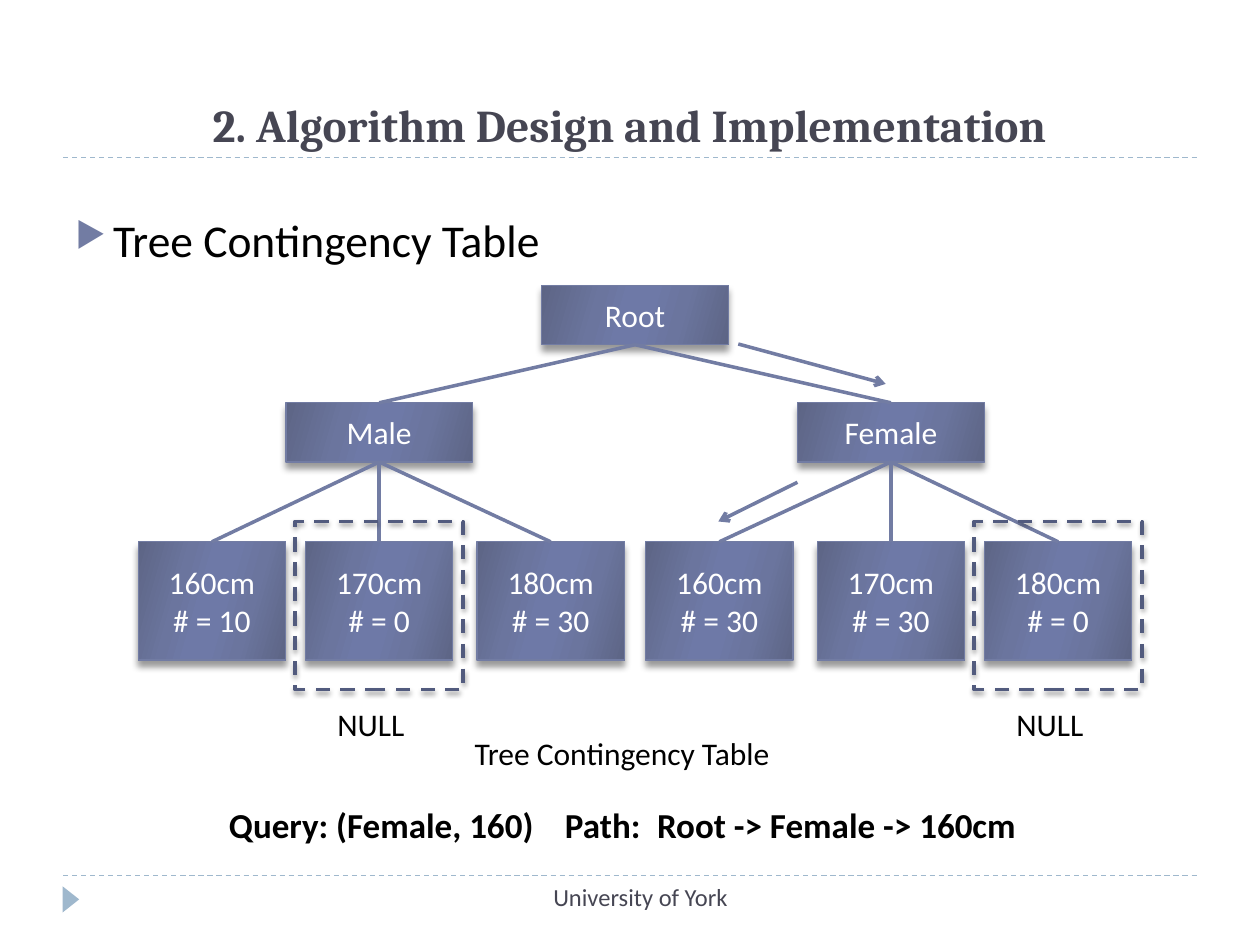
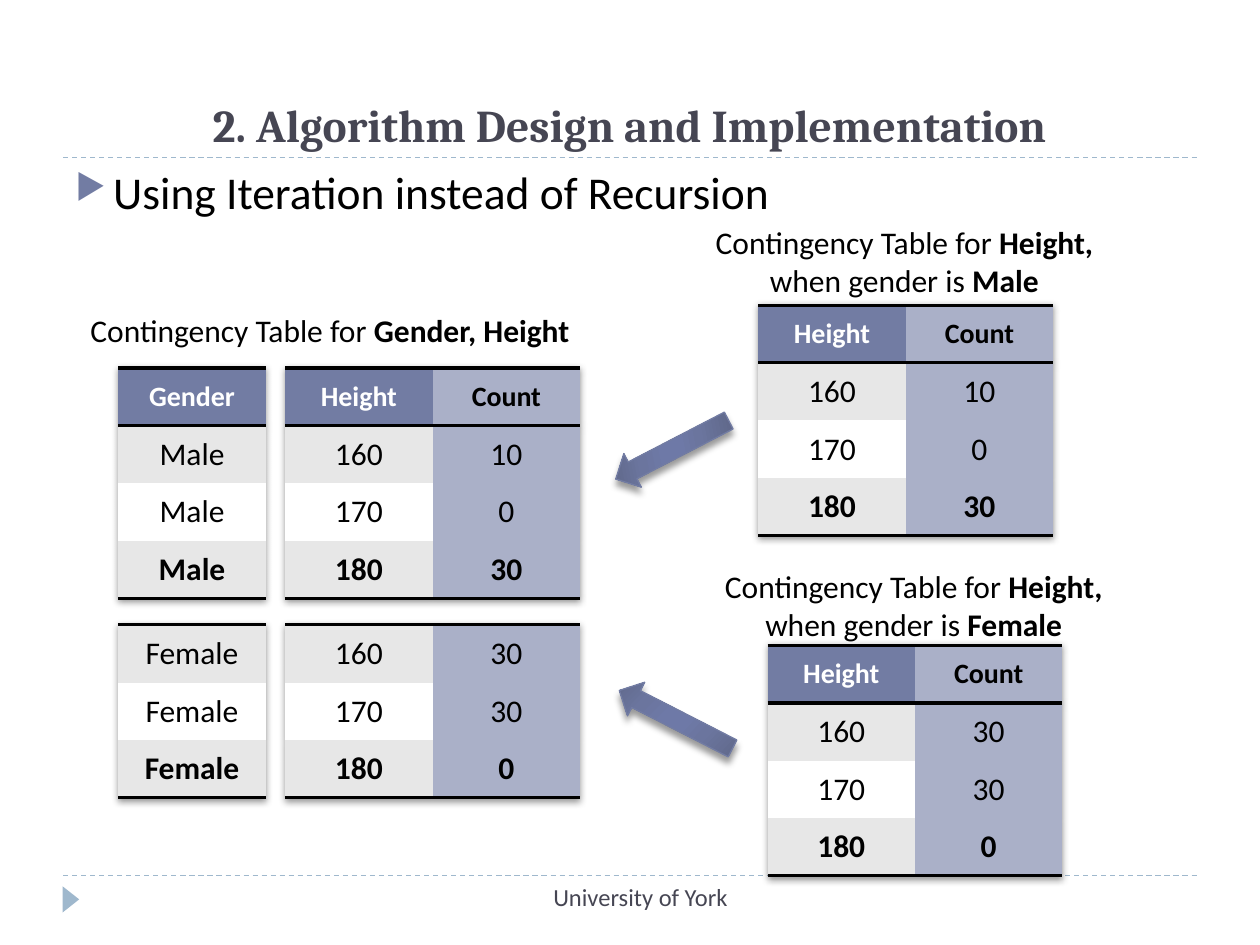
from dataclasses import dataclass

from lxml import etree
from pptx import Presentation
from pptx.dml.color import RGBColor
from pptx.enum.dml import MSO_LINE
from pptx.enum.shapes import MSO_CONNECTOR, MSO_SHAPE
from pptx.enum.text import MSO_ANCHOR, MSO_AUTO_SIZE, PP_ALIGN
from pptx.oxml import parse_xml
from pptx.util import Pt

LEFT, CENTER = PP_ALIGN.LEFT, PP_ALIGN.CENTER
TOP, MIDDLE, BOTTOM = MSO_ANCHOR.TOP, MSO_ANCHOR.MIDDLE, MSO_ANCHOR.BOTTOM
RECT, TRIANGLE = MSO_SHAPE.RECTANGLE, MSO_SHAPE.ISOSCELES_TRIANGLE
ARROW = MSO_SHAPE.RIGHT_ARROW
STRAIGHT, DASH = MSO_CONNECTOR.STRAIGHT, MSO_LINE.DASH
NO_FIT = MSO_AUTO_SIZE.NONE
A = "http://schemas.openxmlformats.org/drawingml/2006/main"
NO_STYLE = "{2D5ABB26-0587-4C30-8999-92F81FD0307C}"


@dataclass(frozen=True)
class Theme:
    head: str = "Cambria"
    body: str = "Calibri"
    ink: str = "000000"
    white: str = "FFFFFF"
    slate: str = "464653"
    main: str = "727CA3"
    dark: str = "525B7E"
    pale: str = "AAB0C8"
    band: str = "E7E7E7"
    rule: str = "9FB8CD"
    glow: tuple = ((0, "5D6585"), (30, "6B759E"), (45, "6E79A7"),
                   (55, "6E79A7"), (73, "6B759E"), (100, "5D6585"))
    big: int = 26
    query: int = 20
    text: int = 18
    small: int = 16
    foot: int = 14


T = Theme()


# ---- Shared helpers ----
def rgb(code):
    return RGBColor.from_string(code)


def xml(tag, inner="", **attrs):
    pairs = "".join(f' {key}="{val}"' for key, val in attrs.items())
    return parse_xml(f'<a:{tag} xmlns:a="{A}"{pairs}>{inner}</a:{tag}>')


def shade(blur, dist):
    return xml("outerShdw", '<a:srgbClr val="000000"><a:alpha val="40000"/></a:srgbClr>',
               blurRad=Pt(blur), dist=Pt(dist), dir=5400000, rotWithShape=0)


def style(para, size, color, bold=None, face=T.body, align=LEFT):
    para.alignment = align
    font = para.font
    font.name, font.size, font.bold = face, Pt(size), bold
    font.color.rgb = rgb(color)


def write(frame, lines, size=T.text, color=T.ink, anchor=TOP, **look):
    """Each line is a string or a list of (text, bold) runs."""
    frame.word_wrap, frame.auto_size = True, NO_FIT
    frame.vertical_anchor = anchor
    for i, line in enumerate(lines):
        para = frame.add_paragraph() if i else frame.paragraphs[0]
        for text, bold in [(line, None)] if isinstance(line, str) else line:
            run = para.add_run()
            run.text = text
            if bold is not None:
                run.font.bold = bold
        style(para, size, color, **look)


def label(slide, box, lines, **look):
    frame = slide.shapes.add_textbox(*map(Pt, box)).text_frame
    write(frame, lines, **look)
    return frame.paragraphs[0]


def rule(slide, start, end, color, width, dash=False, tip=False):
    line = slide.shapes.add_connector(STRAIGHT, *map(Pt, (*start, *end)))
    line.line.color.rgb, line.line.width = rgb(color), Pt(width)
    if dash:
        line.line.dash_style = DASH
    if tip:
        line.line._get_or_add_ln().append(xml("tailEnd", type="arrow"))
    etree.SubElement(line._element.spPr, f"{{{A}}}effectLst")
    return line


def solid(slide, kind, box, turn=0):
    """A shape with the glossy gradient and a soft shadow."""
    shape = slide.shapes.add_shape(kind, *map(Pt, box))
    shape.rotation = turn
    stops = "".join(f'<a:gs pos="{pos * 1000}"><a:srgbClr val="{code}"/></a:gs>'
                    for pos, code in T.glow)
    fill = xml("gradFill", f'<a:gsLst>{stops}</a:gsLst><a:lin ang="960000" scaled="0"/>',
               rotWithShape=1)
    shape._element.spPr.find(f"{{{A}}}prstGeom").addnext(fill)
    shape.line.color.rgb, shape.line.width = rgb(T.main), Pt(0.75)
    shape.shadow.inherit = False
    shape._element.spPr.find(f"{{{A}}}effectLst").append(shade(4, 3.4))
    return shape


# ---- Frame of every slide: rules, marker, title, bullet, footer ----
def page(prs, topic, top):
    slide = prs.slides.add_slide(prs.slide_layouts[5])
    for y in (500.4, 90):
        rule(slide, (36, y), (684, y), T.rule, 0.75, dash=True)
    mark = slide.shapes.add_shape(TRIANGLE, *map(Pt, (33, 509.2, 15, 9.5)))
    mark.rotation = 90
    mark.fill.solid()
    mark.fill.fore_color.rgb = rgb(T.rule)
    mark.line.fill.background()
    mark.shadow.inherit = False

    title = slide.shapes.title
    title.left, title.top, title.width, title.height = map(Pt, (36, 12, 648, 78))
    write(title.text_frame, ["2. Algorithm Design and Implementation"], T.big, T.slate,
          BOTTOM, bold=True, face=T.head, align=CENTER)

    frame = slide.shapes.add_textbox(*map(Pt, (36, top, 648, 389))).text_frame
    props = frame.paragraphs[0]._p.get_or_add_pPr()
    props.set("marL", str(Pt(21.6)))
    props.set("indent", str(Pt(-21.6)))
    props.append(xml("buClr", f'<a:srgbClr val="{T.main}"/>'))
    props.append(xml("buSzPct", val=76000))
    props.append(xml("buChar", char="▶"))
    write(frame, [topic], T.big)

    label(slide, (228, 500.4, 276, 28.8), ["University of York"],
          size=T.foot, color=T.slate, align=CENTER)
    return slide


# ---- Slide 1: the tree ----
def node(slide, mid, top, size, lines):
    wide, high = size
    shape = solid(slide, RECT, (mid - wide / 2, top, wide, high))
    write(shape.text_frame, lines, color=T.white, anchor=MIDDLE, align=CENTER)
    return shape


def join(slide, upper, lower):
    edge = rule(slide, (0, 0), (1, 1), T.main, 2)
    edge.begin_connect(upper, 2)
    edge.end_connect(lower, 0)


def null(slide, mid, top):
    """Dashed frame and caption around an empty leaf."""
    side = 96
    frame = slide.shapes.add_shape(RECT, *map(Pt, (mid - side / 2, top, side, side)))
    frame.fill.background()
    frame.line.color.rgb, frame.line.width = rgb(T.dark), Pt(2)
    frame.line.dash_style = DASH
    frame.shadow.inherit = False
    frame._element.spPr.find(f"{{{A}}}effectLst").append(shade(3, 2))
    label(slide, (mid - 31, top + 101.6, 62, 28.8), ["NULL"])


def tree(slide, mid, top):
    branch, leaf = (106.6, 33.8), (84.2, 67.6)
    spread, outer, inner = 146.2, 95.6, 98
    low = top + 146.4
    root = node(slide, mid, top, branch, ["Root"])
    sides = (("Male", -spread, (-outer, 0, inner), (10, 0, 30)),
             ("Female", spread, (-inner, 0, outer), (30, 30, 0)))
    empty = []
    for name, shift, steps, counts in sides:
        sex = node(slide, mid + shift, top + 67, branch, [name])
        join(slide, root, sex)
        for step, tall, count in zip(steps, (160, 170, 180), counts):
            x = mid + shift + step
            join(slide, sex, node(slide, x, low, leaf, [f"{tall}cm", f"# = {count}"]))
            if count == 0:
                empty.append(x)
    for x in empty:
        null(slide, x, low - 11.6)
    # Query path
    for start, end in (((59, 33.4), (143.2, 56.2)), ((92.8, 112.4), (47.6, 134.8))):
        rule(slide, (mid + start[0], top + start[1]), (mid + end[0], top + end[1]),
             T.main, 2, tip=True)
    label(slide, (mid - 98.8, top + 252.8, 196.6, 28.8), ["Tree Contingency Table"])


def query(slide, box):
    para = label(slide, box, ["Query: (Female, 160)\tPath:\tRoot -> Female -> 160cm"],
                 size=T.query, bold=True)
    tabs = "".join(f'<a:tab pos="{Pt(at)}" algn="l"/>' for at in (192, 244.6))
    props = para._p.get_or_add_pPr()
    props.insert(0, xml("tabLst", tabs))


# ---- Slide 2: the tables ----
def edge(cell, *sides):
    props = cell._tc.get_or_add_tcPr()
    for side in sides:
        props.append(xml(side, f'<a:solidFill><a:srgbClr val="{T.ink}"/></a:solidFill>',
                         w=Pt(2)))


def grid(slide, x, y, rows, head=None):
    """Banded table; the last row is bold and a Count column is tinted."""
    wide, high = 84.25, 32.95
    data = ([head] if head else []) + rows
    many, cols = len(data), len(data[0])
    table = slide.shapes.add_table(
        many, cols, *map(Pt, (x, y, wide * cols, high * many))).table
    table.first_row = table.horz_banding = False
    props = table._tbl.tblPr
    props.find(f"{{{A}}}tableStyleId").text = NO_STYLE
    glow = xml("effectLst")
    glow.append(shade(4, 1))
    props.insert(0, glow)
    for col in table.columns:
        col.width = Pt(wide)
    for r, row in enumerate(data):
        table.rows[r].height = Pt(high)
        top = bool(head) and r == 0
        odd = (r - bool(head)) % 2
        for c, value in enumerate(row):
            cell = table.cell(r, c)
            if r == 0:
                edge(cell, "lnT")
            if top or r == many - 1:
                edge(cell, "lnB")
            back = T.pale if c else T.main if top else T.white if odd else T.band
            cell.fill.solid()
            cell.fill.fore_color.rgb = rgb(back)
            cell.vertical_anchor = MIDDLE
            para = cell.text_frame.paragraphs[0]
            para.add_run().text = str(value)
            style(para, T.small if top else T.text, T.white if top and not c else T.ink,
                  bold=top or r == many - 1, align=CENTER)


HEAD = ["Height", "Count"]
COUNTS = {"Male": [(160, 10), (170, 0), (180, 30)],
          "Female": [(160, 30), (170, 30), (180, 0)]}


def joint(slide, x, y):
    """Both genders, with the Gender column set apart."""
    label(slide, (x - 23, y - 36, 320.4, 28.8),
          [[("Contingency Table for ", False), ("Gender, Height", True)]])
    for i, (sex, rows) in enumerate(COUNTS.items()):
        top = y + i * 146.8
        grid(slide, x, top, [[sex]] * 3, None if i else ["Gender"])
        grid(slide, x + 95.4, top, rows, None if i else HEAD)


def part(slide, sex, x, y, lift):
    """Heights of one gender under a two-line caption."""
    first = label(slide, (x - 39.2, y - lift, 253.4, 51),
                  [[("Contingency Table for ", False), ("Height,", True)],
                   [("when gender is ", False), (sex, True)]], align=CENTER)
    first._p.get_or_add_pPr().set("marR", str(Pt(8)))
    grid(slide, x, y, COUNTS[sex], HEAD)


def main():
    prs = Presentation()
    prs.slide_width, prs.slide_height = Pt(720), Pt(540)

    slide = page(prs, "Tree Contingency Table", 117.4)
    tree(slide, 362.9, 163.2)
    query(slide, (123.8, 455.8, 534, 31.7))

    slide = page(prs, "Using Iteration instead of Recursion", 90)
    joint(slide, 67.6, 210.3)
    part(slide, "Male", 433.3, 174.4, 50.4)
    part(slide, "Female", 438.6, 368.8, 48.4)
    for x, y, turn in ((347.8, 246.2, 152.6), (349.9, 400.3, 207.1)):
        solid(slide, ARROW, (x, y, 72.7, 21.6), turn)

    prs.save("out.pptx")


if __name__ == "__main__":
    main()
